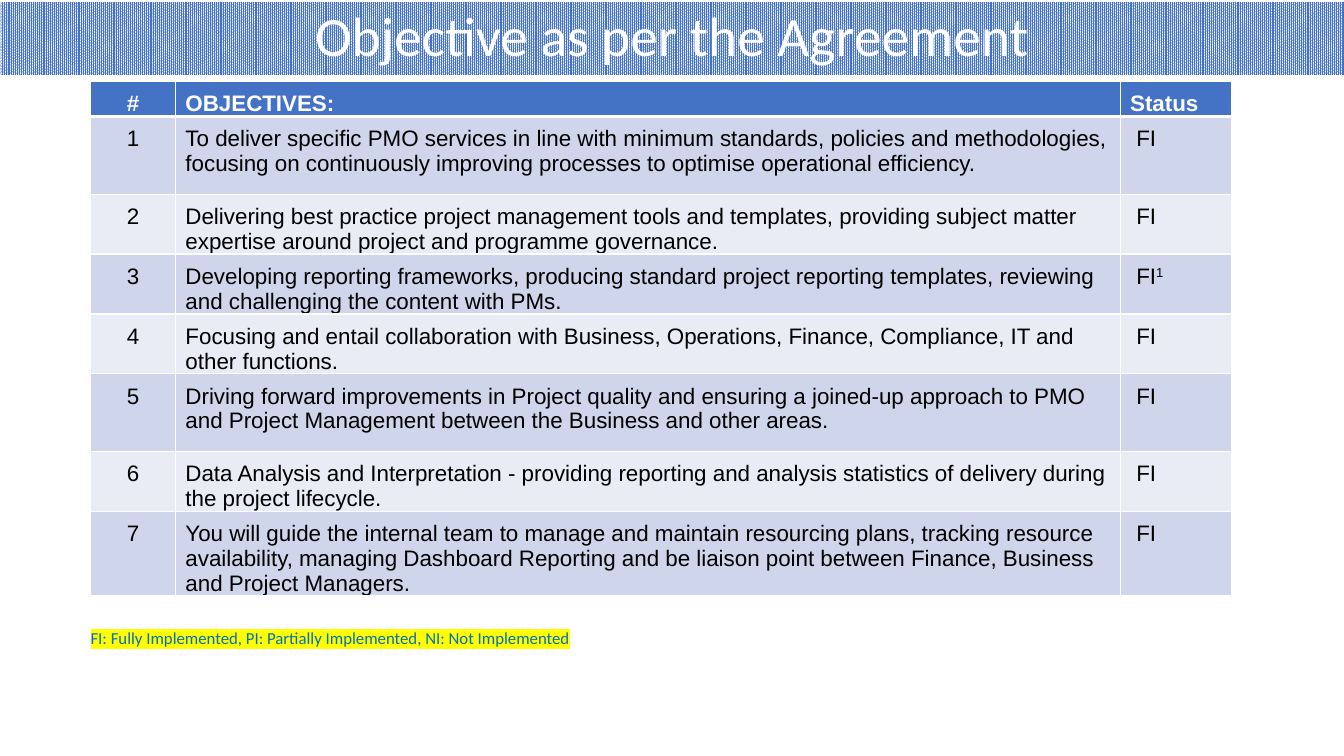
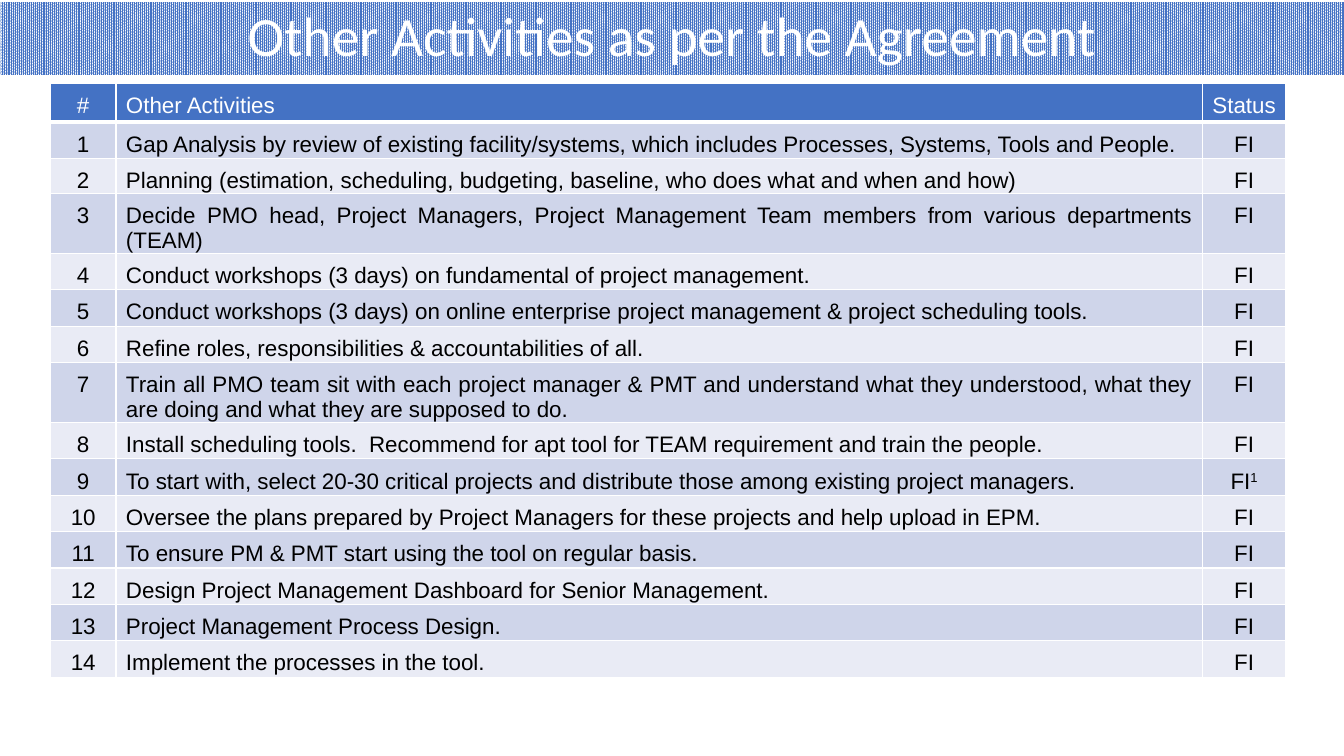
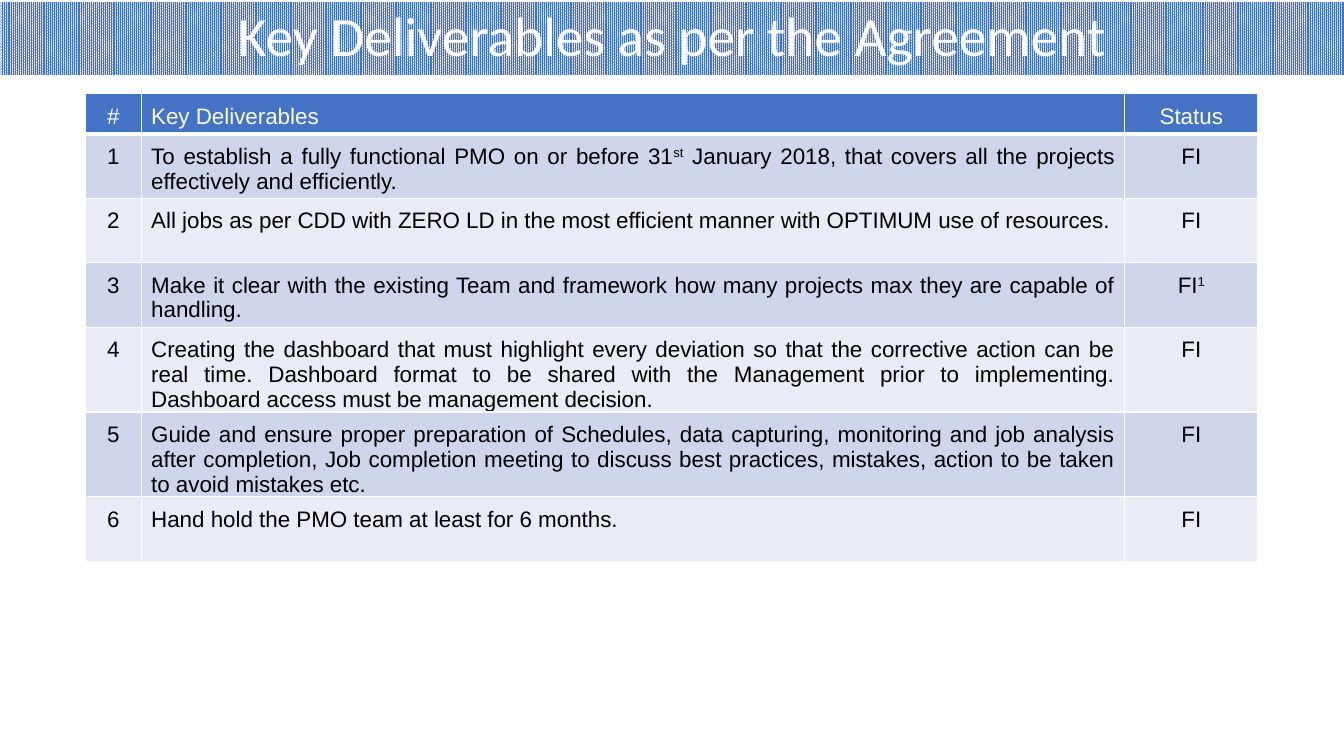
from lxml import etree
from pptx import Presentation
from pptx.dml.color import RGBColor
from pptx.enum.dml import MSO_PATTERN
from pptx.enum.text import MSO_ANCHOR, MSO_AUTO_SIZE, PP_ALIGN
from pptx.oxml.ns import qn
from pptx.util import Pt

LEFT, CENTER, JUSTIFY = PP_ALIGN.LEFT, PP_ALIGN.CENTER, PP_ALIGN.JUSTIFY
MIDDLE = MSO_ANCHOR.MIDDLE
NO_FIT = MSO_AUTO_SIZE.NONE
DENSE = MSO_PATTERN.PERCENT_90

COLORS = {
    "accent": "4472C4",
    "white": "FFFFFF",
    "black": "000000",
    "odd": "CFD5EA",
    "even": "E9EBF5",
    "legend": "0070C0",
    "marker": "FFFF00",
}

OBJECTIVES = [
    "To deliver specific PMO services in line with minimum standards, policies and methodologies, "
    "focusing on continuously improving processes to optimise operational efficiency.",
    "Delivering best practice project management tools and templates, providing subject matter "
    "expertise around project and programme governance.",
    "Developing reporting frameworks, producing standard project reporting templates, reviewing "
    "and challenging the content with PMs.",
    "Focusing and entail collaboration with Business, Operations, Finance, Compliance, IT and "
    "other functions.",
    "Driving forward improvements in Project quality and ensuring a joined-up approach to PMO "
    "and Project Management between the Business and other areas.",
    "Data Analysis and Interpretation - providing reporting and analysis statistics of delivery "
    "during the project lifecycle.",
    "You will guide the internal team to manage and maintain resourcing plans, tracking resource "
    "availability, managing Dashboard Reporting and be liaison point between Finance, Business "
    "and Project Managers.",
]

ACTIVITIES = [
    "Gap Analysis by review of existing facility/systems, which includes Processes, Systems, "
    "Tools and People.",
    "Planning (estimation, scheduling, budgeting, baseline, who does what and when and how)",
    "Decide PMO head, Project Managers, Project Management Team members from various "
    "departments (TEAM)",
    "Conduct workshops (3 days) on fundamental of project management.",
    "Conduct workshops (3 days) on online enterprise project management & project scheduling "
    "tools.",
    "Refine roles, responsibilities & accountabilities of all.",
    "Train all PMO team sit with each project manager & PMT and understand what they "
    "understood, what they are doing and what they are supposed to do.",
    "Install scheduling tools.  Recommend for apt tool for TEAM requirement and train the people.",
    "To start with, select 20-30 critical projects and distribute those among existing project "
    "managers.",
    "Oversee the plans prepared by Project Managers for these projects and help upload in EPM.",
    "To ensure PM & PMT start using the tool on regular basis.",
    "Design Project Management Dashboard for Senior Management.",
    "Project Management Process Design.",
    "Implement the processes in the tool.",
]

DELIVERABLES = [
    "To establish a fully functional PMO on or before 31^st^ January 2018, that covers all the "
    "projects effectively and efficiently.",
    "All jobs as per CDD with ZERO LD in the most efficient manner with OPTIMUM use of resources.",
    "Make it clear with the existing Team and framework how many projects max they are capable "
    "of handling.",
    "Creating the dashboard that must highlight every deviation so that the corrective action "
    "can be real time. Dashboard format to be shared with the Management prior to implementing. "
    "Dashboard access must be management decision.",
    "Guide and ensure proper preparation of Schedules, data capturing, monitoring and job "
    "analysis after completion, Job completion meeting to discuss best practices, mistakes, "
    "action to be taken to avoid mistakes etc.",
    "Hand hold the PMO team at least for 6 months.",
]


def rgb(name):
    return RGBColor.from_string(COLORS[name])


class StatusDeck:
    def __init__(self):
        self.deck = Presentation()
        self.deck.slide_width, self.deck.slide_height = Pt(960), Pt(540)
        self.page = None

    def style(self, span, size, face, color, bold=False):
        span.font.size = Pt(size)
        span.font.name = face
        span.font.bold = bold
        span.font.color.rgb = rgb(color)

    def add_page(self, heading):
        self.page = self.deck.slides.add_slide(self.deck.slide_layouts[5])
        title = self.page.shapes.title
        title.left, title.top, title.width, title.height = Pt(0), Pt(1.5), Pt(960), Pt(52)
        title.fill.patterned()
        title.fill.pattern = DENSE
        title.fill.fore_color.rgb = rgb("accent")
        title.fill.back_color.rgb = rgb("white")
        frame = title.text_frame
        frame.text = heading
        frame.auto_size = NO_FIT
        frame.vertical_anchor = MIDDLE
        para = frame.paragraphs[0]
        para.alignment = CENTER
        para.line_spacing = 0.9
        self.style(para.runs[0], 39.6, "Calibri", "white")

    def add_borders(self, cell, top, bottom):
        properties = cell._tc.get_or_add_tcPr()
        for side, width in (("L", 1), ("R", 1), ("T", top), ("B", bottom)):
            line = etree.SubElement(properties, qn("a:ln" + side), w=str(Pt(width)))
            fill = etree.SubElement(line, qn("a:solidFill"))
            etree.SubElement(fill, qn("a:srgbClr"), val=COLORS["white"])

    def fill_cell(self, cell, text, row, alignment, bold, indent):
        self.add_borders(cell, 3 if row == 1 else 1, 3 if row == 0 else 1)
        cell.fill.solid()
        band = "odd" if row % 2 else "even"
        cell.fill.fore_color.rgb = rgb(band if row else "accent")
        cell.margin_left = Pt(7.2 + indent)
        cell.margin_top = cell.margin_right = Pt(7.2)
        cell.margin_bottom = Pt(0)
        para = cell.text_frame.paragraphs[0]
        para.alignment = alignment
        for index, part in enumerate(text.split("^")):
            if part:
                span = para.add_run()
                span.text = part
                self.style(span, 16, "Arial", "black" if row else "white", bold)
                if index % 2:
                    span._r.get_or_add_rPr().set("baseline", "30000")

    def add_status_table(self, left, top, widths, heights, heading, items, noted,
                         alignments, bold_header=False, status_indent=0):
        rows = [("#", heading, "Status")]
        for number, item in enumerate(items, 1):
            rows.append((str(number), item, "FI^1^" if number == noted else "FI"))
        table = self.page.shapes.add_table(
            len(rows), len(widths), Pt(left), Pt(top), Pt(sum(widths)), Pt(sum(heights))
        ).table
        for column, width in zip(table.columns, widths):
            column.width = Pt(width)
        for row, texts in enumerate(rows):
            table.rows[row].height = Pt(heights[row])
            for column, text in enumerate(texts):
                indent = status_indent if row and column == 2 else 0
                self.fill_cell(table.cell(row, column), text, row, alignments[column],
                               bold_header and row == 0, indent)

    def add_legend(self, left, top, width, height, text):
        box = self.page.shapes.add_textbox(Pt(left), Pt(top), Pt(width), Pt(height))
        box.text_frame.text = text
        box.text_frame.word_wrap = False
        span = box.text_frame.paragraphs[0].runs[0]
        self.style(span, 12, "Calibri", "legend")
        marker = etree.Element(qn("a:highlight"))
        etree.SubElement(marker, qn("a:srgbClr"), val=COLORS["marker"])
        span._r.get_or_add_rPr().find(qn("a:solidFill")).addnext(marker)


def main():
    report = StatusDeck()

    report.add_page("Objective as per the Agreement")
    report.add_status_table(
        64.8, 58.3, [60.5, 674.8, 79.9], [18.7, 55.4, 38, 37.4, 37.4, 55.4, 37.4, 55.4],
        "OBJECTIVES:", OBJECTIVES, 3, (CENTER, LEFT, LEFT),
        bold_header=True, status_indent=4.45)
    report.add_legend(
        57.6, 445, 360.7, 21.6,
        "FI: Fully Implemented, PI: Partially Implemented, NI: Not Implemented")

    report.add_page("Other Activities as per the Agreement")
    report.add_status_table(
        36, 59.8, [46.8, 776, 59.8], [27.4, 26, 23] + [26] * 12,
        "Other Activities", ACTIVITIES, 9, (CENTER, JUSTIFY, CENTER))

    report.add_page("Key Deliverables as per the Agreement")
    report.add_status_table(
        61.2, 67, [39.6, 702.7, 95], [28.8, 46, 46, 46, 59.8, 59.8, 46],
        "Key Deliverables", DELIVERABLES, 3, (CENTER, JUSTIFY, CENTER))

    report.deck.save("out.pptx")


if __name__ == "__main__":
    main()
